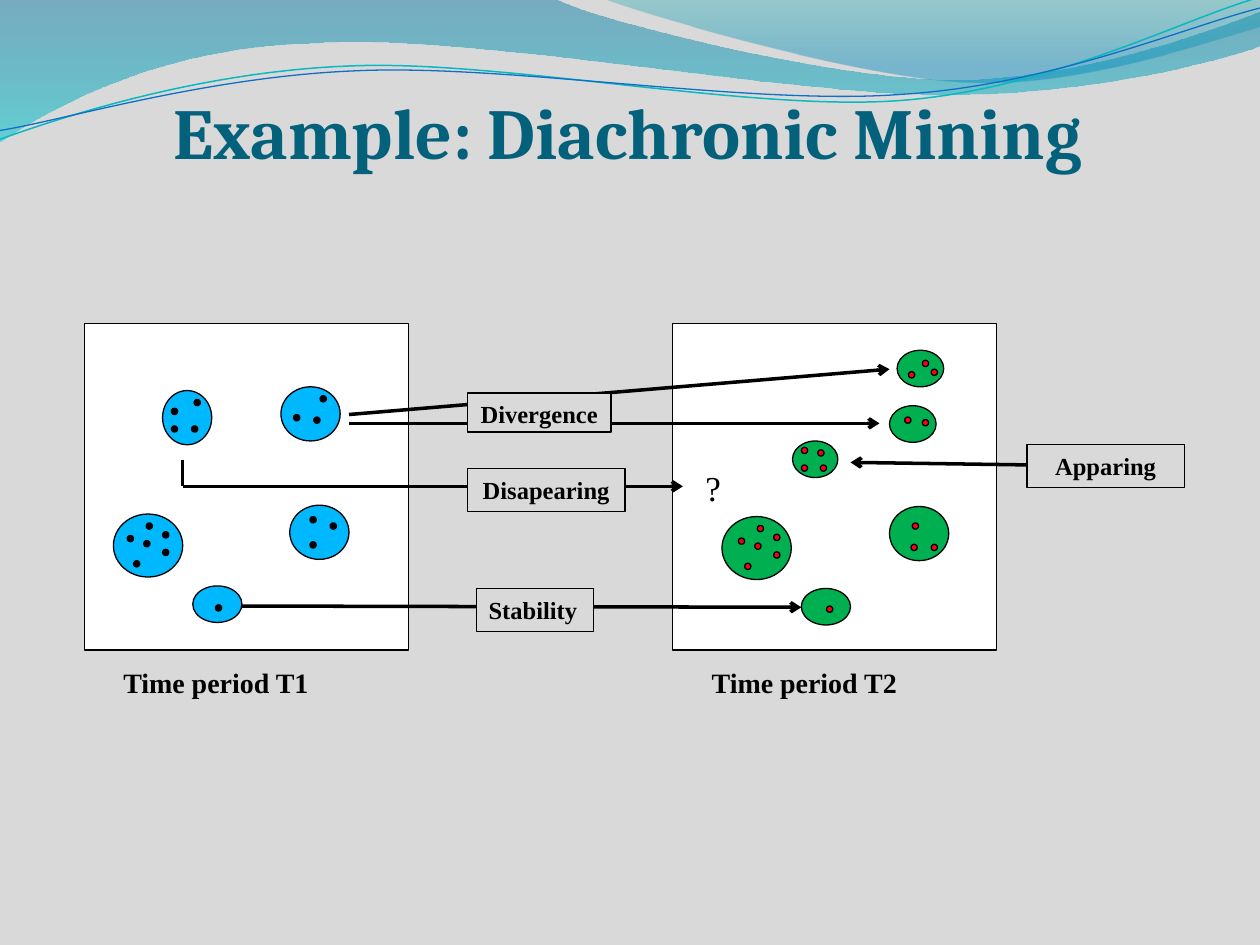
from dataclasses import dataclass
from typing import Optional

from lxml.etree import Element, SubElement
from pptx import Presentation
from pptx.dml.color import RGBColor
from pptx.enum.shapes import MSO_CONNECTOR as Connector, MSO_SHAPE as Shape
from pptx.enum.text import MSO_ANCHOR as Anchor, MSO_AUTO_SIZE as AutoSize, PP_ALIGN as Align
from pptx.oxml.ns import qn
from pptx.util import Inches, Pt

COLUMNS, ROWS = 100, 75
CELL = Inches(10) // COLUMNS
DOT_SIZE = 0.5
BLACK, WHITE, GREY = "000000", "FFFFFF", "D9D9D9"
BLUE, GREEN, RED, TITLE_COLOR = "00B8FF", "00B050", "FF0000", "04617B"
SERIF = "Times New Roman"

Points = list[tuple[float, ...]]


@dataclass
class GradientStop:
    position: float
    color: str
    opacity: int


@dataclass
class Wave:
    points: Points
    stops: tuple[GradientStop, ...] = ()
    line: Optional[str] = None
    weight: float = 0.75
    rotation: float = 0


@dataclass
class Cluster:
    left: float
    top: float
    width: float
    height: float
    dots: Points


@dataclass
class Period:
    left: float
    caption: str
    caption_left: float
    caption_width: float
    color: str
    dot_color: str
    clusters: list[Cluster]


@dataclass
class Arrow:
    start: tuple[float, float]
    end: tuple[float, float]
    head: bool = True


@dataclass
class Change:
    name: str
    left: float
    top: float
    width: float
    height: float
    arrows: list[Arrow]
    align: Align = Align.CENTER


WAVES = [
    Wave([(0, 0), (44, -0.1), (47.6, 1.7, 66.4, 6.3, 75.8, 6.3),
          (85.3, 6.3, 95.8, 2.6, 100, 0.9), (100.1, 3.6),
          (98.3, 4.4, 87, 7.6, 74.6, 7.5), (62.2, 7.5, 38.2, 2.8, 25.7, 3.4),
          (12.9, 3.6, 4.6, 8.3, -0.1, 11.3), (0, 0)],
         (GradientStop(0, "0074A1", 45), GradientStop(1, "00C6CF", 55))),
    Wave([(47.9, -0.1), (50.9, 1.1, 68.2, 6.2, 76.9, 6.5),
          (85.6, 6.9, 96.1, 3.2, 100, 2.1), (100, 0), (47.9, -0.1)],
         (GradientStop(0, "00A1A9", 30), GradientStop(0.8, "008BBF", 45))),
    Wave([(-0.2, 8.7), (4.7, 7.2, 15.8, 4.1, 27.7, 4.2), (39.6, 4.2, 59.1, 9.3, 71.2, 9),
          (83.2, 8.7, 94, 3.6, 100, 2.2)], line="0AB8BF", weight=0.85, rotation=357.3),
    Wave([(-0.2, 8), (4.6, 7.5, 16.4, 4.5, 28.3, 4.6), (40.3, 4.6, 59.6, 8.9, 71.6, 8.5),
          (83.5, 8.3, 94.2, 4.2, 100.2, 3)], line="0F6FC6", rotation=357.3),
]

SIX_DOTS = [(2.6, 0.7), (3.9, 2.8), (2.4, 2.1), (3.9, 1.4), (1.1, 1.7), (1.6, 3.7)]

PERIODS = [
    Period(6.7, "Time period T1", 8.8, 16.9, BLUE, BLACK, [
        Cluster(15.3, 46.5, 3.9, 2.9, [(1.8, 1.5)]),
        Cluster(9, 40.8, 5.5, 5, SIX_DOTS),
        Cluster(23, 40.1, 4.7, 4.3, [(3.2, 1.4), (1.6, 2.9), (1.6, 0.9)]),
        Cluster(22.3, 30.7, 4.7, 4.3, [(3.1, 0.7), (2.6, 2.4), (1, 2.2)]),
        Cluster(12.9, 31, 3.9, 4.3, [(0.7, 2.8), (2.5, 0.7), (2.3, 2.8), (0.7, 1.4)]),
    ]),
    Period(53.4, "Time period T2", 55.5, 17.5, GREEN, RED, [
        Cluster(71.2, 27.8, 3.7, 2.9, [(2, 0.8), (0.9, 1.7), (2.7, 1.5)]),
        Cluster(63.6, 46.7, 3.9, 2.9, [(2, 1.4)]),
        Cluster(57.3, 41, 5.5, 5, [(x + 0.2, y) for x, y in SIX_DOTS]),
        Cluster(70.6, 40.2, 4.7, 4.3, [(3.3, 3), (1.7, 3), (1.8, 1.3)]),
        Cluster(70.6, 32.2, 3.7, 2.9, [(2.6, 1.1), (1.2, 0.9)]),
        Cluster(62.9, 35, 3.6, 2.9, [(0.7, 1.9), (2, 0.7), (2.2, 1.9), (0.7, 0.5)]),
    ]),
]

CHANGES = [
    Change("Divergence", 37.1, 31.2, 11.4, 3.1,
           [Arrow((27.7, 32.9), (70.6, 29.3)), Arrow((27.7, 33.6), (69.8, 33.6))]),
    Change("Disapearing", 37.1, 37.2, 12.5, 3.4,
           [Arrow((14.5, 36.5), (14.5, 38.6), head=False), Arrow((14.5, 38.6), (54.2, 38.6))]),
    Change("Stability", 37.8, 46.7, 9.3, 3.4, [Arrow((19.2, 48.1), (63.6, 48.2))], Align.LEFT),
    Change("Apparing", 81.5, 35.3, 12.5, 3.4, [Arrow((81.5, 36.9), (67.5, 36.7))]),
]


def rgb(color: str) -> RGBColor:
    return RGBColor.from_string(color)


def cells(*values: float) -> list[int]:
    return [round(value * CELL) for value in values]


def bend(shape, segments: Points) -> None:
    outline = shape._element.spPr.find(".//" + qn("a:path"))
    for node, segment in zip(outline.findall(qn("a:lnTo")), segments):
        if len(segment) == 6:
            node.tag = qn("a:cubicBezTo")
            for index in (0, 1):
                x, y = cells(*segment[2 * index:2 * index + 2])
                node.insert(index, Element(qn("a:pt"), x=str(x - shape.left),
                                           y=str(y - shape.top)))


def draw_wave(page, wave: Wave) -> None:
    first, *rest = [cells(*point[-2:]) for point in wave.points]
    builder = page.shapes.build_freeform(*first, scale=1.0)
    builder.add_line_segments(rest, close=bool(wave.stops))
    shape = builder.convert_to_shape()
    bend(shape, wave.points[1:])
    shape.rotation = wave.rotation
    shape.shadow.inherit = False
    if not wave.stops:
        shape.fill.background()
        shape.line.color.rgb = rgb(wave.line)
        shape.line.width = Pt(wave.weight)
        return
    shape.line.fill.background()
    shape.fill.gradient()
    shape.fill.gradient_angle = 270
    for target, stop in zip(shape.fill.gradient_stops, wave.stops):
        target.position = stop.position
        target.color.rgb = rgb(stop.color)
    colors = shape._element.spPr.find(qn("a:gradFill")).iter(qn("a:srgbClr"))
    for color, stop in zip(colors, wave.stops):
        SubElement(color, qn("a:alpha"), val=str(stop.opacity * 1000))


def draw_shape(page, kind: Shape, fill: str, *bounds: float):
    shape = page.shapes.add_shape(kind, *cells(*bounds))
    shape.shadow.inherit = False
    shape.fill.solid()
    shape.fill.fore_color.rgb = rgb(fill)
    shape.line.color.rgb = rgb(BLACK)
    shape.line.width = Pt(0.75)
    return shape


def write(box, text: str, size: float, bold: bool = True, align: Align = Align.LEFT,
          wrap: bool = True, font: str = SERIF, color: str = BLACK):
    frame = box.text_frame
    frame.word_wrap = wrap
    frame.auto_size = AutoSize.SHAPE_TO_FIT_TEXT
    frame.vertical_anchor = Anchor.TOP
    para = frame.paragraphs[0]
    para.text = text
    para.alignment = align
    para.font.name, para.font.size, para.font.bold = font, Pt(size), bold
    para.font.color.rgb = rgb(color)
    return frame


def draw_frame(page, period: Period) -> None:
    draw_shape(page, Shape.RECTANGLE, WHITE, period.left, 25.7, 25.7, 25.9)


def draw_clusters(page, period: Period) -> None:
    for cluster in period.clusters:
        draw_shape(page, Shape.OVAL, period.color,
                   cluster.left, cluster.top, cluster.width, cluster.height)


def draw_details(page, period: Period) -> None:
    box = page.shapes.add_textbox(*cells(period.caption_left, 52.3, period.caption_width, 3.7))
    write(box, period.caption, 16, wrap=False)
    for cluster in period.clusters:
        for x, y in cluster.dots:
            draw_shape(page, Shape.OVAL, period.dot_color,
                       cluster.left + x, cluster.top + y, DOT_SIZE, DOT_SIZE)


def draw_arrow(page, arrow: Arrow) -> None:
    line = page.shapes.add_connector(Connector.STRAIGHT, *cells(*arrow.start, *arrow.end))
    line.line.color.rgb = rgb(BLACK)
    line.line.width = Pt(2)
    if arrow.head:
        SubElement(line.line._get_or_add_ln(), qn("a:tailEnd"), type="arrow")
    SubElement(line._element.spPr, qn("a:effectLst"))


def draw_change(page, change: Change) -> None:
    for arrow in change.arrows:
        draw_arrow(page, arrow)
    box = draw_shape(page, Shape.RECTANGLE, GREY,
                     change.left, change.top, change.width, change.height)
    write(box, change.name, 14, align=change.align)


def draw_title(page) -> None:
    box = page.shapes.add_textbox(*cells(2, -1.1, 95.7, 15))
    frame = write(box, "Example: Diachronic Mining", 41, align=Align.CENTER,
                  font="Cambria", color=TITLE_COLOR)
    frame.auto_size = AutoSize.NONE
    frame.vertical_anchor = Anchor.BOTTOM
    frame.margin_left = frame.margin_right = frame.margin_bottom = 0
    frame.paragraphs[0].line_spacing = 0.9


def main() -> None:
    deck = Presentation()
    deck.slide_width, deck.slide_height = cells(COLUMNS, ROWS)
    page = deck.slides.add_slide(deck.slide_layouts[6])
    page.background.fill.solid()
    page.background.fill.fore_color.rgb = rgb(GREY)
    for draw, items in ((draw_wave, WAVES), (draw_frame, PERIODS), (draw_clusters, PERIODS),
                        (draw_details, PERIODS), (draw_change, CHANGES)):
        for item in items:
            draw(page, item)
    write(page.shapes.add_textbox(*cells(55, 36.5, 3.5, 4.6)), "?", 20, bold=False)
    draw_title(page)
    deck.save("out.pptx")


if __name__ == "__main__":
    main()
